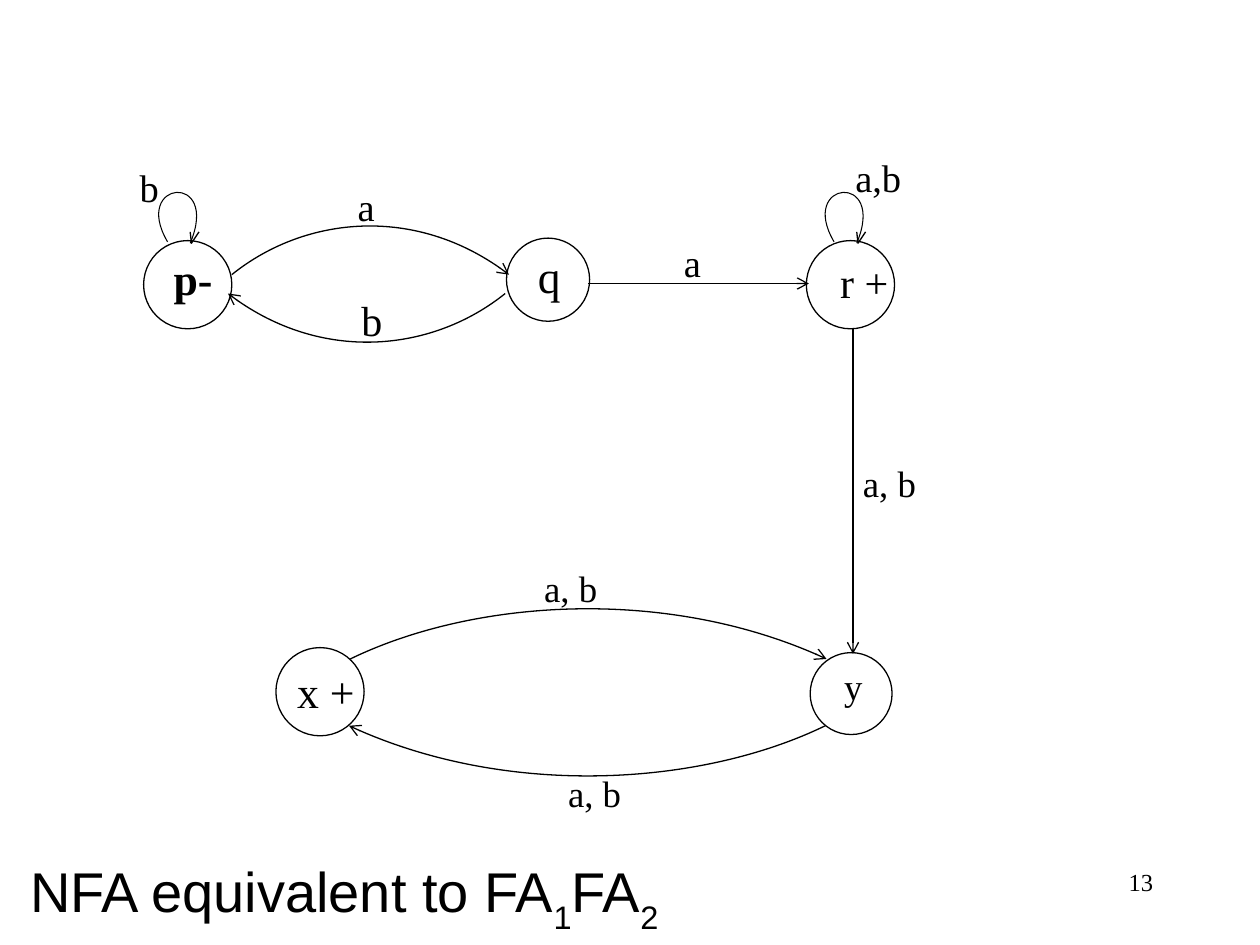
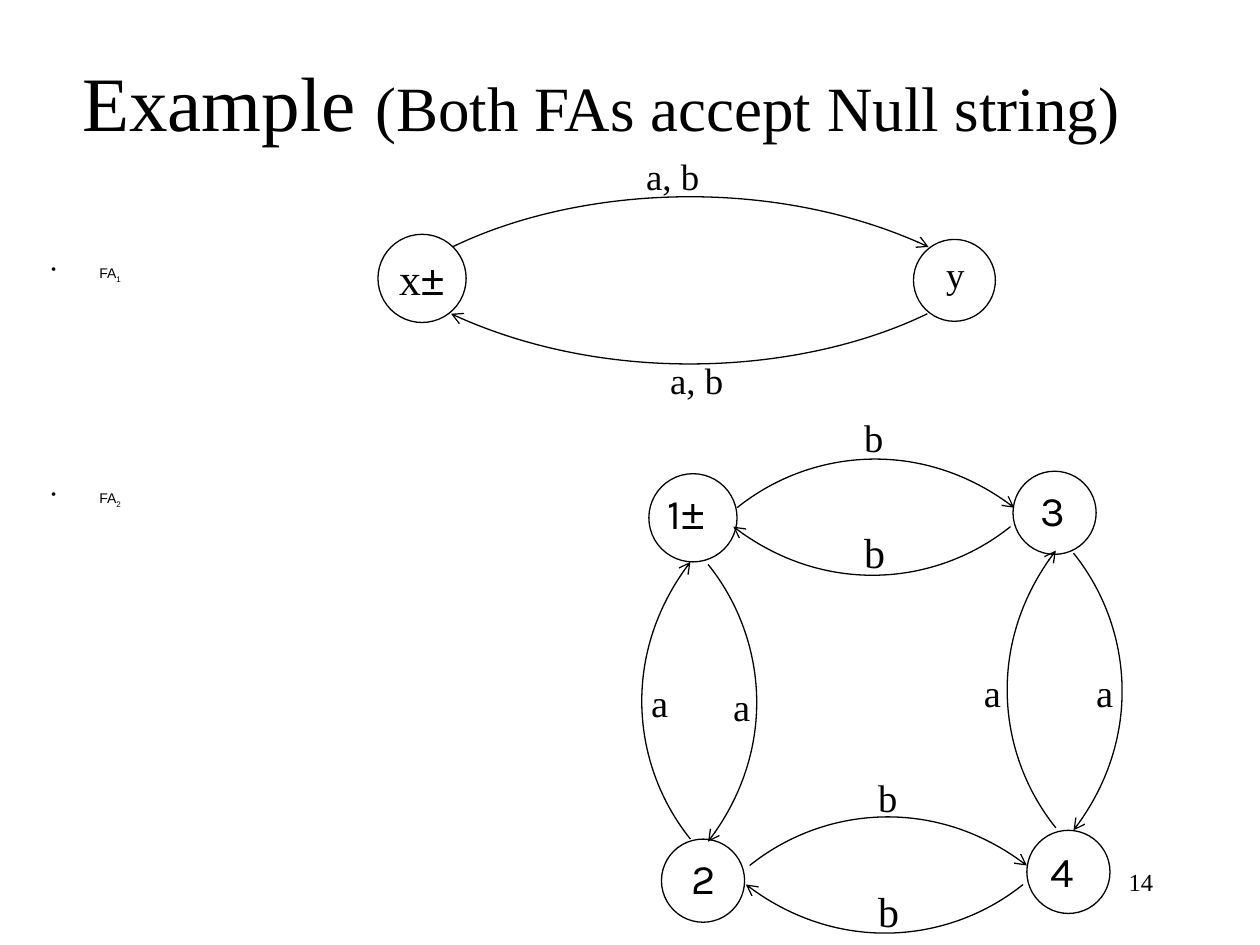
"""Build two slides of state diagrams for finite automata."""
import math

import pptx
import pptx.dml.color
import pptx.enum.shapes
import pptx.enum.text
import pptx.oxml
import pptx.oxml.ns
import pptx.util

Pt = pptx.util.Pt
qn = pptx.oxml.ns.qn
ALIGN = pptx.enum.text.PP_ALIGN
ANCHOR = pptx.enum.text.MSO_ANCHOR

INCH = 2.54
BLACK = pptx.dml.color.RGBColor(0, 0, 0)
WHITE = pptx.dml.color.RGBColor(255, 255, 255)
SERIF, SANS, DIGIT = "Times New Roman", "Arial", "Karla"
BIG, SMALL = 0.7, 0.66
TAG, NAME, WIDE = (0.41, 0.4), (0.83, 0.44), (0.98, 0.68)

SHORT_ARC, LONG_ARC = (2.2, 0.56), (3.78, 0.58)
SHORT_PAIR = [(1.84, 2.18, 0, SHORT_ARC), (4.01, 2.33, 180, SHORT_ARC)]
LONG_PAIR = [(2.78, 5.23, 0, LONG_ARC), (6.55, 5.76, 180, LONG_ARC)]
TALL_PAIR = [(5.48, 6.66, 270, SHORT_ARC), (5.62, 4.48, 90, SHORT_ARC)]
LOOP = [(1.33, 1.92), (1.04, 1.43), (1.75, 1.36), (1.51, 1.93)]
BARB = [(1.51, 1.84), (1.52, 1.93), (1.58, 1.84)]

PAGES = [
    {
        "page": "13",
        "rings": [(4.02, 1.89, SMALL), (1.14, 1.91, BIG), (6.4, 1.91, BIG),
                  (6.43, 5.18, 0.65), (2.19, 5.14, BIG)],
        "pairs": [(SHORT_PAIR, 0, 0), (LONG_PAIR, 0, 0)],
        "loops": [0, 5.29],
        "lines": [(4.67, 2.25, 6.42, 2.25), (6.77, 2.6, 6.77, 5.19)],
        "texts": [
            (6.69, 1.17, WIDE, "a,b", {"size": 22}),
            (1.01, 1.25, WIDE, "b", {"size": 22}),
            (2.74, 1.4, TAG, "a", {"size": 22}),
            (5.33, 1.85, TAG, "a", {"size": 22}),
            (2.77, 2.29, TAG, "b", {"size": 24}),
            (1.28, 1.95, NAME, "p-", {"size": 25, "bold": True}),
            (4.17, 1.92, TAG, "q", {"size": 26}),
            (6.57, 1.99, NAME, "r +", {"size": 24}),
            (2.26, 5.23, NAME, "x +", {"size": 25}),
            (6.6, 5.22, TAG, "y", {"size": 21}),
            (4.22, 4.44, WIDE, "a, b", {"size": 21}),
            (4.41, 6.07, WIDE, "a, b", {"size": 21}),
            (6.75, 3.61, WIDE, "a, b", {"size": 21}),
            (0.14, 6.75, (9.25, 0.58),
             [("NFA equivalent to FA", {}), ("1", {"sub": True}),
              ("FA", {}), ("2", {"sub": True})], {"size": 32, "face": SANS}),
        ],
    },
    {
        "page": "14",
        "rings": [(8.04, 3.74, SMALL), (5.15, 3.76, BIG), (5.25, 6.66, SMALL),
                  (8.15, 6.59, SMALL), (7.25, 1.9, 0.65), (3, 1.86, BIG)],
        "pairs": [(LONG_PAIR, 0.81, -3.27), (SHORT_PAIR, 4.01, 1.85),
                  (SHORT_PAIR, 4.11, 4.69), (TALL_PAIR, 0, 0),
                  (TALL_PAIR, 2.9, -0.09)],
        "loops": [],
        "lines": [],
        "texts": [
            (0.52, 0.17, (8.5, 1.25),
             [("Example ", {}), ("(Both FAs accept Null string)", {"size": 36})],
             {"size": 44, "align": ALIGN.CENTER, "anchor": ANCHOR.MIDDLE}),
            (0.31, 2.06, (8.94, 4.56),
             [[("FA", {}), ("1", {"sub": True})],
              [("FA", {}), ("2", {"sub": True})]],
             {"size": 8, "face": SANS, "bullet": "•", "space": 0.8,
              "gap": 119.5}),
            (6.76, 3.24, TAG, "b", {"size": 22}),
            (6.76, 4.13, TAG, "b", {"size": 24}),
            (6.87, 6.09, TAG, "b", {"size": 22}),
            (6.87, 6.98, TAG, "b", {"size": 24}),
            (5.07, 5.34, TAG, "a", {"size": 22}),
            (5.72, 5.37, TAG, "a", {"size": 22}),
            (7.71, 5.26, TAG, "a", {"size": 22}),
            (8.6, 5.26, TAG, "a", {"size": 22}),
            (5.2, 3.82, NAME, [("1", {}), ("±", {"face": SANS})],
             {"size": 24, "face": DIGIT}),
            (8.16, 3.8, NAME, "3", {"size": 24, "face": DIGIT}),
            (5.39, 6.72, NAME, "2", {"size": 24, "face": DIGIT}),
            (8.24, 6.66, NAME, "4", {"size": 24, "face": DIGIT}),
            (3.07, 1.95, NAME, [("x", {}), ("±", {"size": 24, "face": SANS})],
             {"size": 25}),
            (7.41, 1.95, TAG, "y", {"size": 21}),
            (5.03, 1.17, WIDE, "a, b", {"size": 21}),
            (5.22, 2.79, WIDE, "a, b", {"size": 21}),
        ],
    },
]


def cm(inches):
    return pptx.util.Cm(inches * INCH)


def add(parent, tag, **attrs):
    node = pptx.oxml.parse_xml(f'<a:{tag} {pptx.oxml.ns.nsdecls("a")}/>')
    for key, value in attrs.items():
        node.set(key, str(value))
    parent.append(node)
    return node


def text(slide, left, top, size_box, words, size=22, face=SERIF, bold=False,
         align=ALIGN.LEFT, anchor=ANCHOR.TOP, bullet=None, space=None, gap=0):
    box = slide.shapes.add_textbox(cm(left), cm(top), *map(cm, size_box))
    frame = box.text_frame
    frame.word_wrap = True
    frame.vertical_anchor = anchor
    if isinstance(words, str):
        words = [(words, {})]
    paras = words if isinstance(words[0], list) else [words]
    for i, runs in enumerate(paras):
        para = frame.add_paragraph() if i else frame.paragraphs[0]
        if bullet:
            props = para._p.get_or_add_pPr()
            props.set("marL", str(cm(0.38)))
            props.set("indent", str(-cm(0.38)))
            add(props, "buChar", char=bullet)
        para.alignment = align
        if space:
            para.line_spacing = space
        if i:
            para.space_before = Pt(gap)
        for part, own in runs:
            run = para.add_run()
            run.text = part
            run.font.size = Pt(own.get("size", size))
            run.font.name = own.get("face", face)
            run.font.bold = bold
            run.font.color.rgb = BLACK
            if own.get("sub"):
                run._r.get_or_add_rPr().set("baseline", "-30000")


def ink(shape, width=0.75, arrow=False):
    shape.line.color.rgb = BLACK
    shape.line.width = Pt(width)
    if arrow:
        add(shape.line._get_or_add_ln(), "tailEnd", type="arrow")


def ring(slide, left, top, size):
    oval = pptx.enum.shapes.MSO_SHAPE.OVAL
    shape = slide.shapes.add_shape(oval, cm(left), cm(top), cm(size), cm(size))
    shape.shadow.inherit = False
    shape.fill.solid()
    shape.fill.fore_color.rgb = WHITE
    ink(shape)


def trace(slide, points, curved=False, **style):
    spots = [(cm(x), cm(y)) for x, y in points]
    pen = slide.shapes.build_freeform(*spots[0])
    pen.add_line_segments(spots[1:], close=False)
    shape = pen.convert_to_shape()
    shape.shadow.inherit = False
    shape.fill.background()
    ink(shape, **style)
    if curved:
        track = next(shape._element.iter(qn("a:path")))
        steps = track.findall(qn("a:lnTo"))
        curve = add(track, "cubicBezTo")
        for step in steps:
            curve.append(step[0])
            track.remove(step)


def arc(slide, left, top, turn, form):
    length, depth = form
    cos, sin = math.cos(math.radians(turn)), math.sin(math.radians(turn))
    bend = [(0, 0), (0.256, -0.81), (0.67, -1), (1, 0)]
    flat = [(x * length, y * depth) for x, y in bend]
    points = [(left + x * cos - y * sin, top + x * sin + y * cos)
              for x, y in flat]
    trace(slide, points, curved=True, arrow=True)


def line(slide, *ends):
    kind = pptx.enum.shapes.MSO_CONNECTOR.STRAIGHT
    shape = slide.shapes.add_connector(kind, *map(cm, ends))
    ink(shape, arrow=True)
    add(shape._element.spPr, "effectLst")


def draw(deck, page):
    slide = deck.slides.add_slide(deck.slide_layouts[6])
    for spot in page["rings"]:
        ring(slide, *spot)
    for pair, right, down in page["pairs"]:
        for left, top, turn, form in pair:
            arc(slide, left + right, top + down, turn, form)
    for right in page["loops"]:
        trace(slide, [(x + right, y) for x, y in LOOP], curved=True, width=0.6)
        trace(slide, [(x + right, y) for x, y in BARB])
    for ends in page["lines"]:
        line(slide, *ends)
    for left, top, size, words, form in page["texts"]:
        text(slide, left, top, size, words, **form)
    text(slide, 7.17, 6.83, (2.08, 0.5), page["page"], size=14,
         align=ALIGN.RIGHT)


def main():
    deck = pptx.Presentation()
    deck.slide_width, deck.slide_height = cm(10), cm(7.5)
    for page in PAGES:
        draw(deck, page)
    deck.save("out.pptx")


if __name__ == "__main__":
    main()
